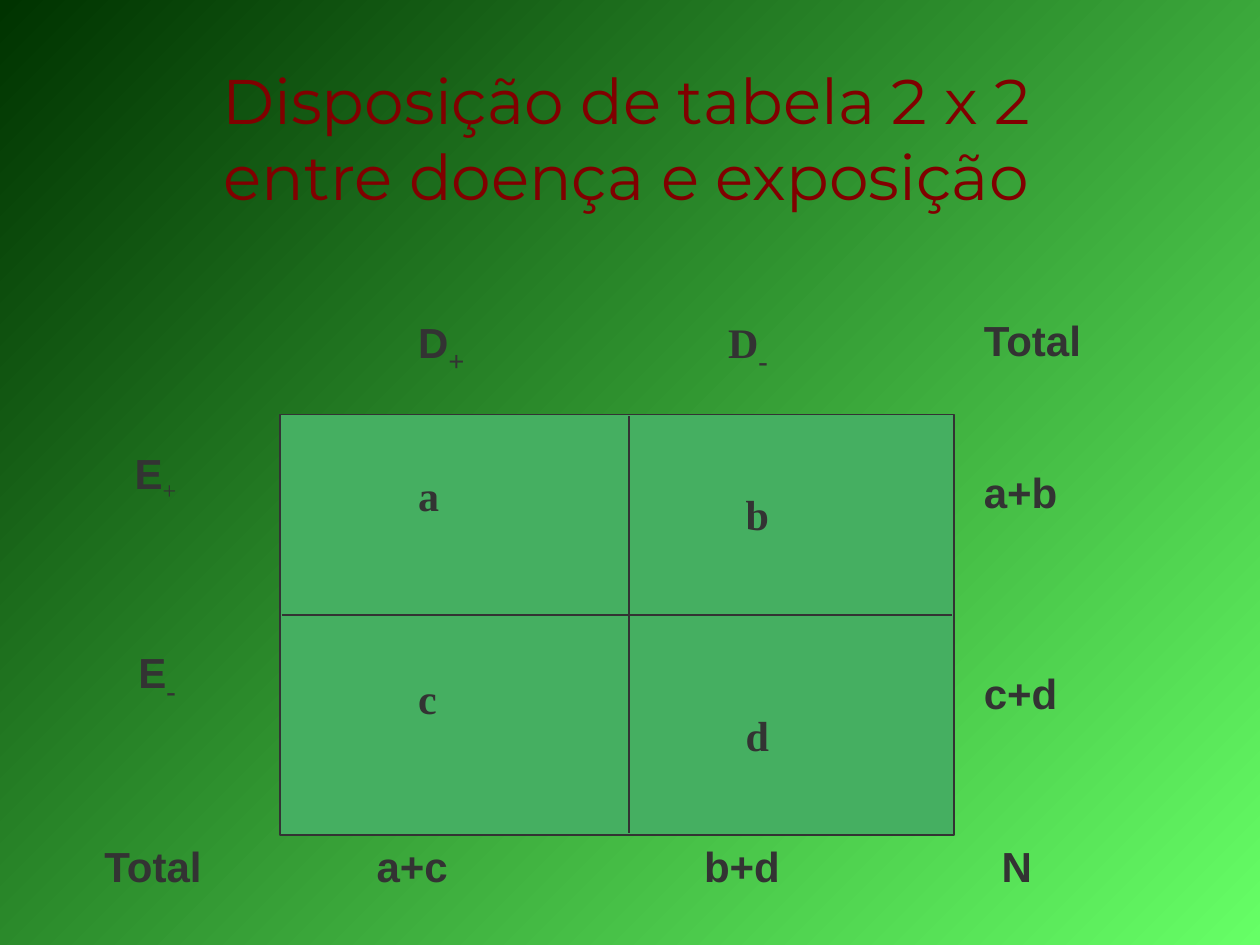
from collections import namedtuple

from lxml import etree
from pptx import Presentation
from pptx import util as u
from pptx.dml.color import RGBColor
from pptx.enum import shapes, text
from pptx.oxml import ns

COLUMNS, ROWS = 100, 75
UNIT = u.Inches(10) // COLUMNS
INK = RGBColor(0x33, 0x33, 0x33)
CELL_GREEN = RGBColor(0x45, 0xAF, 0x61)
TITLE_RED = RGBColor(0x80, 0x00, 0x00)
DARK_GREEN = RGBColor(0x00, 0x33, 0x00)
LIGHT_GREEN = RGBColor(0x66, 0xFF, 0x66)
SANS, SERIF, DISPLAY = "Arial", "Times New Roman", "Montserrat"

Box = namedtuple("Box", "left top width height")


def inside(region, left, top, width, height):
    return Box(region.left + left, region.top + top, width, height)


def grid(*lengths):
    return [u.Emu(round(length * UNIT)) for length in lengths]


def add_span(para, words, font=SANS, size=24, color=INK, bold=True, baseline=0):
    span = para.add_run()
    span.text = words
    span.font.name = font
    span.font.size = u.Pt(size)
    span.font.bold = bold
    span.font.color.rgb = color
    if baseline:
        span.font._element.set("baseline", str(baseline * 1000))


def add_tabs(para, stops):
    tabs = etree.SubElement(para._p.get_or_add_pPr(), ns.qn("a:tabLst"))
    for stop in grid(*stops):
        etree.SubElement(tabs, ns.qn("a:tab"), pos=str(stop), algn="l")


def add_text(page, box, words, align=text.PP_ALIGN.LEFT, wrap=False, gaps=(),
             tabs=(), sub=None, sub_format=None, **span_format):
    frame = page.shapes.add_textbox(*grid(*box)).text_frame
    frame.word_wrap = wrap
    for index, line in enumerate(words.split("\n")):
        para = frame.paragraphs[0] if index == 0 else frame.add_paragraph()
        para.alignment = align
        if index and gaps:
            para.space_before = u.Pt(gaps[index - 1])
        if tabs:
            add_tabs(para, tabs)
        add_span(para, line, **span_format)
    if sub:
        sub_style = dict(font=SERIF, size=28, baseline=-25)
        add_span(para, sub, **{**sub_style, **(sub_format or {})})


def add_rule(page, start, end):
    rule = page.shapes.add_connector(
        shapes.MSO_CONNECTOR.STRAIGHT, *grid(*start, *end))
    rule.line.color.rgb = INK
    rule.line.width = u.Pt(1)
    etree.SubElement(rule._element.spPr, ns.qn("a:effectLst"))


def paint_background(page):
    fill = page.background.fill
    fill.gradient()
    fill.gradient_angle = 315
    for stop, color in zip(fill.gradient_stops, (DARK_GREEN, LIGHT_GREEN)):
        stop.color.rgb = color


def place_title(page, box):
    add_text(page, box, "Disposição de tabela 2 x 2\nentre doença e exposição",
             align=text.PP_ALIGN.CENTER, font=DISPLAY, size=36,
             color=TITLE_RED, bold=False)


def place_cells(page, box):
    panel = page.shapes.add_shape(shapes.MSO_SHAPE.RECTANGLE, *grid(*box))
    panel.shadow.inherit = False
    panel.fill.solid()
    panel.fill.fore_color.rgb = CELL_GREEN
    panel.line.color.rgb = INK
    panel.line.width = u.Pt(1)

    middle_x, middle_y = box.left + 27.7, box.top + 15.9
    margin = 0.15
    add_rule(page, (box.left + margin, middle_y),
             (box.left + box.width - margin, middle_y))
    add_rule(page, (middle_x, box.top + margin),
             (middle_x, box.top + box.height - margin))

    for letter, left, top in (("a", 10, 3.9), ("b", 36, 5.4),
                              ("c", 10, 20), ("d", 36, 22.9)):
        add_text(page, inside(box, left, top, 3.7, 5), letter, font=SERIF)


def place_disease_headers(page, box):
    add_text(page, inside(box, 0, 0, 13.1, box.height), "D", sub="+", wrap=True)
    add_text(page, inside(box, 24.6, 0, 7, box.height), "D", sub="-",
             font=SERIF, wrap=True)


def place_exposure_labels(page, box):
    add_text(page, inside(box, 0, 0, 7, 5.7), "E", sub="+", wrap=True,
             sub_format=dict(size=24, bold=False))
    add_text(page, inside(box, 0.3, 15.3, 7, 6.3), "E", sub="-", wrap=True)


def place_row_totals(page, box):
    add_text(page, box, "Total\na+b\nc+d", gaps=(57.6, 86.4))


def place_column_totals(page, box):
    add_text(page, box, "Total\ta+c\tb+d\tN", tabs=(21.6, 47.6, 71.2), wrap=True)


def main():
    deck = Presentation()
    deck.slide_width, deck.slide_height = grid(COLUMNS, ROWS)
    page = deck.slides.add_slide(deck.slide_layouts[6])
    paint_background(page)
    place_cells(page, Box(22.2, 32.9, 53.5, 33.4))
    place_disease_headers(page, Box(32.2, 24.1, 31.6, 6.3))
    place_exposure_labels(page, Box(9.7, 35, 7.3, 21.6))
    place_column_totals(page, Box(7.3, 66.2, 75.9, 5))
    place_row_totals(page, Box(77.1, 24.5, 9.9, 37))
    place_title(page, Box(4.2, 4.4, 91, 12.6))
    deck.save("out.pptx")


if __name__ == "__main__":
    main()
